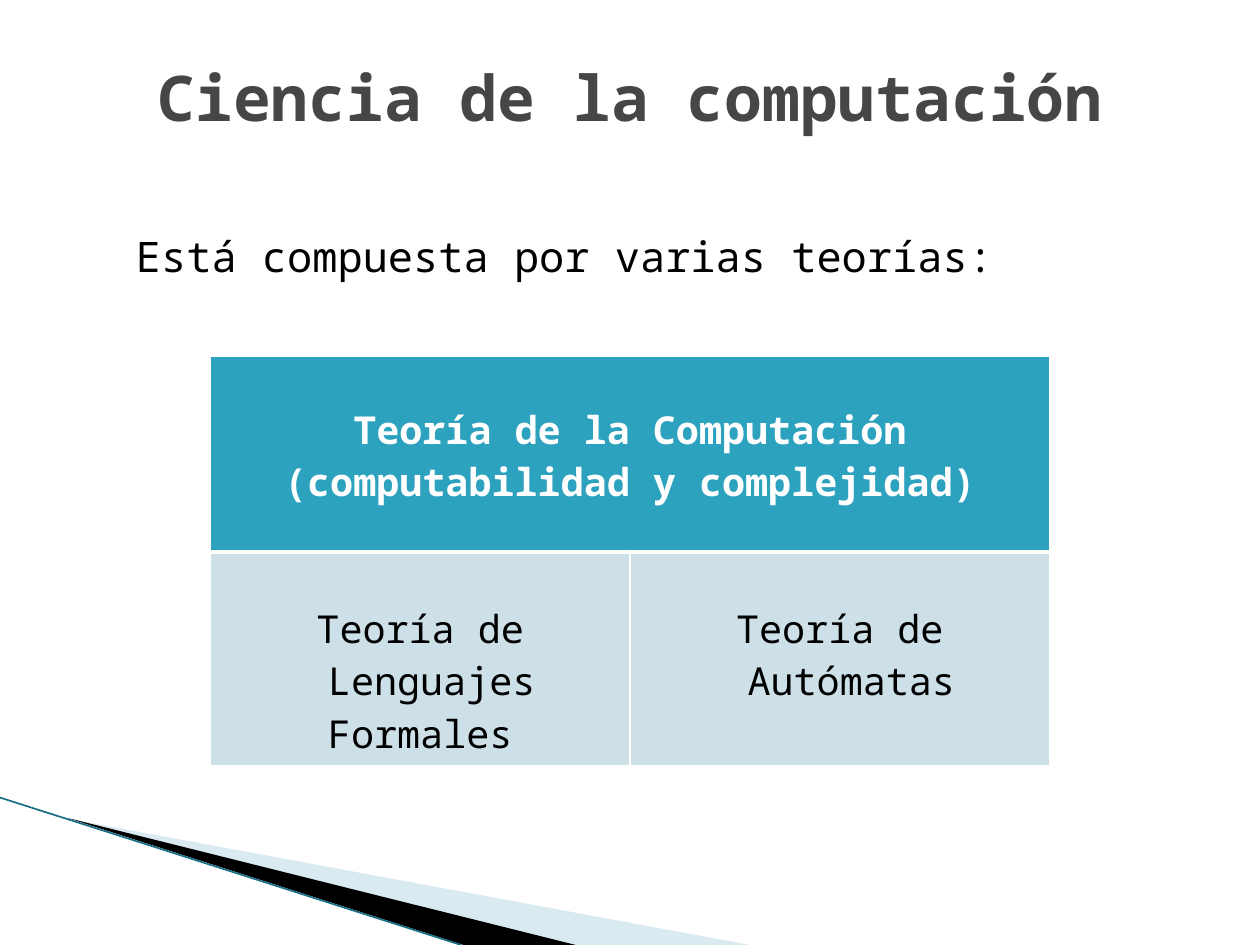
from dataclasses import dataclass

from lxml import etree
from pptx import Presentation
from pptx.dml.color import RGBColor
from pptx.enum.shapes import MSO_CONNECTOR
from pptx.enum.text import MSO_ANCHOR, PP_ALIGN
from pptx.oxml.ns import qn
from pptx.util import Inches, Pt

FONT = "Noto Sans Mono"
CENTER, LEFT = PP_ALIGN.CENTER, PP_ALIGN.LEFT
TOP, MIDDLE = MSO_ANCHOR.TOP, MSO_ANCHOR.MIDDLE
STRAIGHT = MSO_CONNECTOR.STRAIGHT
TITLE_ONLY = 5


@dataclass(frozen=True)
class Wedge:
    points: tuple[tuple[float, float], ...]
    color: str
    opacity: int = 100


@dataclass(frozen=True)
class Theory:
    row: int
    column: int
    text: str
    fill: str
    color: str
    bold: bool
    top_margin: float


WEDGES = (
    Wedge(((0.55, 6.5), (5.95, 7.5), (4.56, 7.5)), "A0CBDC", 40),
    Wedge(((0.53, 6.49), (4.57, 7.5), (3.68, 7.5)), "000000"),
)
THEORIES = (
    Theory(0, 0, "Teoría de la Computación\n(computabilidad y complejidad)",
           "2DA2BF", "FFFFFF", True, 0.37),
    Theory(1, 0, "Teoría de\n Lenguajes Formales", "CDE0E8", "000000", False, 0.4),
    Theory(1, 1, "Teoría de\n Autómatas", "CDE0E8", "000000", False, 0.4),
)


def rgb(value: str) -> RGBColor:
    return RGBColor.from_string(value)


def write(frame, text: str, size: float, color: str, bold=False, align=LEFT) -> None:
    frame.text = text
    frame.word_wrap = True
    for paragraph in frame.paragraphs:
        paragraph.alignment = align
        for run in paragraph.runs:
            run.font.name = FONT
            run.font.size = Pt(size)
            run.font.bold = bold
            run.font.color.rgb = rgb(color)


def draw_wedge(slide, wedge: Wedge) -> None:
    points = [(Inches(x), Inches(y)) for x, y in wedge.points]
    builder = slide.shapes.build_freeform(*points[0])
    builder.add_line_segments(points[1:], close=True)
    shape = builder.convert_to_shape()
    shape.shadow.inherit = False
    shape.line.fill.background()
    shape.fill.solid()
    shape.fill.fore_color.rgb = rgb(wedge.color)
    if wedge.opacity < 100:
        color = shape.fill._xPr.find(f".//{qn('a:srgbClr')}")
        etree.SubElement(color, qn("a:alpha"), val=str(wedge.opacity * 1000))


def set_borders(cell, widths: dict[str, float]) -> None:
    properties = cell._tc.get_or_add_tcPr()
    for index, (side, width) in enumerate(widths.items()):
        border = etree.Element(qn(f"a:ln{side}"), w=str(Pt(width)))
        solid = etree.SubElement(border, qn("a:solidFill"))
        etree.SubElement(solid, qn("a:srgbClr"), val="FFFFFF")
        properties.insert(index, border)


def draw_theories(slide) -> None:
    table = slide.shapes.add_table(
        2, 2, Inches(1.67), Inches(2.83), Inches(6.66), Inches(3.24)).table
    table.horz_banding = False
    table.rows[0].height, table.rows[1].height = Inches(1.55), Inches(1.69)
    table.cell(0, 0).merge(table.cell(0, 1))
    for theory in THEORIES:
        cell = table.cell(theory.row, theory.column)
        cell.margin_top = Inches(theory.top_margin)
        cell.vertical_anchor = TOP
        cell.fill.solid()
        cell.fill.fore_color.rgb = rgb(theory.fill)
        write(cell.text_frame, theory.text, 22, theory.color, theory.bold, CENTER)
    # The rule under the heading row is thicker than the others
    for row in range(2):
        for column in range(2):
            set_borders(table.cell(row, column), {
                "L": 1, "R": 1, "T": 3 if row else 1, "B": 1 if row else 3})


def main() -> None:
    deck = Presentation()
    deck.slide_width, deck.slide_height = Inches(10), Inches(7.5)
    slide = deck.slides.add_slide(deck.slide_layouts[TITLE_ONLY])

    # Corner decoration
    for wedge in WEDGES:
        draw_wedge(slide, wedge)
    edge = slide.shapes.add_connector(
        STRAIGHT, Inches(0), Inches(6.33), Inches(3.66), Inches(7.5))
    edge.line.color.rgb = rgb("196F85")
    edge.line.width = Pt(0.95)
    etree.SubElement(edge._element.spPr, qn("a:effectLst"))

    # Title
    title = slide.shapes.title
    title.left, title.top = Inches(0.5), Inches(0.3)
    title.width, title.height = Inches(9), Inches(0.93)
    title.text_frame.vertical_anchor = MIDDLE
    write(title.text_frame, "Ciencia de la computación", 36, "464646", True, CENTER)

    # Theories and their introduction
    draw_theories(slide)
    introduction = slide.shapes.add_textbox(
        Inches(0.98), Inches(1.78), Inches(7.01), Inches(0.5))
    write(introduction.text_frame, "Está compuesta por varias teorías:", 24, "000000")

    deck.save("out.pptx")


if __name__ == "__main__":
    main()
